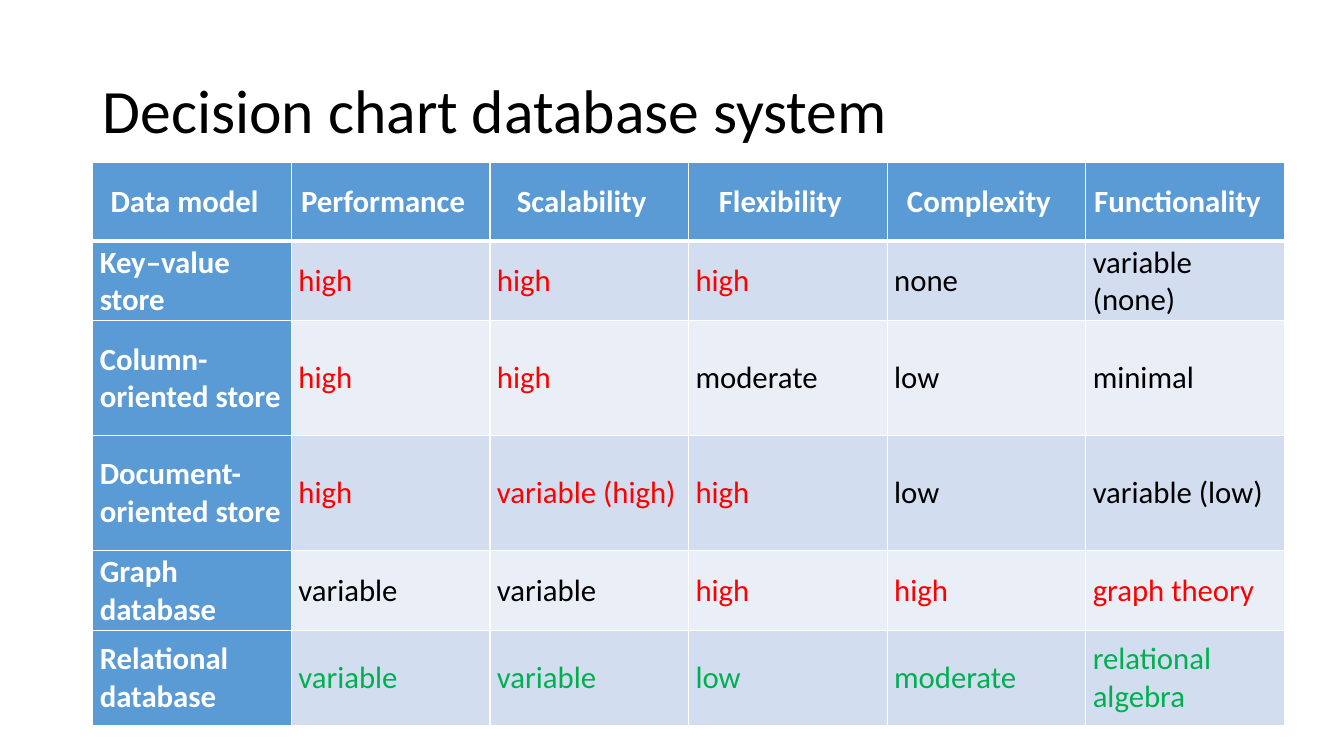
"""Build a slide with a decision chart that compares database systems."""
from lxml import etree
from pptx import Presentation
from pptx.dml.color import RGBColor
from pptx.enum.text import MSO_ANCHOR, PP_ALIGN
from pptx.oxml.ns import qn
from pptx.util import Inches, Pt

MIDDLE = MSO_ANCHOR.MIDDLE
LEFT, CENTER = PP_ALIGN.LEFT, PP_ALIGN.CENTER

FONT = "Calibri"
COLORS = {
    "black": "000000",
    "white": "FFFFFF",
    "red": "FF0000",
    "green": "00B050",
    "heading": "5B9BD5",
    "odd": "D2DEEF",
    "even": "EAEFF7",
}

TITLE = "Decision chart database system"
CRITERIA = ["Data model", "Performance", "Scalability", "Flexibility", "Complexity", "Functionality"]
RATINGS = [
    ("Key–value store", ["high", "high", "high", "none", "variable (none)"]),
    ("Column-oriented store", ["high", "high", "moderate", "low", "minimal"]),
    ("Document-oriented store", ["high", "variable (high)", "high", "low", "variable (low)"]),
    ("Graph database", ["variable", "variable", "high", "high", "graph theory"]),
    ("Relational database", ["variable", "variable", "low", "moderate", "relational algebra"]),
]
STRENGTHS = {"high", "variable (high)", "graph theory"}
BASELINE = "Relational database"

CHART_LEFT, CHART_TOP = 0.92, 1.61
COLUMN_WIDTH = 1.97
ROW_HEIGHTS = [0.78, 0.78, 1.14, 1.14, 0.78, 0.94]


def format_text(paragraph, size, color, bold=False):
    for run in paragraph.runs:
        run.font.name = FONT
        run.font.size = Pt(size)
        run.font.bold = bold
        run.font.color.rgb = RGBColor.from_string(COLORS[color])


def add_borders(cell, top, bottom):
    properties = cell._tc.get_or_add_tcPr()
    widths = {"a:lnL": 1, "a:lnR": 1, "a:lnT": top, "a:lnB": bottom}
    for position, (side, width) in enumerate(widths.items()):
        border = etree.Element(qn(side), w=str(Pt(width)))
        fill = etree.SubElement(border, qn("a:solidFill"))
        etree.SubElement(fill, qn("a:srgbClr"), val=COLORS["white"])
        properties.insert(position, border)


def rating_color(model, rating):
    if model == BASELINE:
        return "green"
    return "red" if rating in STRENGTHS else "black"


def fill_cell(cell, text, row, column):
    is_header = row == 0
    is_heading = is_header or column == 0
    band = "odd" if row % 2 else "even"
    cell.fill.solid()
    cell.fill.fore_color.rgb = RGBColor.from_string(COLORS["heading" if is_heading else band])
    add_borders(cell, top=3 if row == 1 else 1, bottom=3 if is_header else 1)
    cell.vertical_anchor = MIDDLE
    cell.margin_left = Inches(0.07)
    cell.margin_right = Inches(0.22 if is_header else 0.07)
    cell.margin_top = cell.margin_bottom = Inches(0.03)
    paragraph = cell.text_frame.paragraphs[0]
    paragraph.text = text
    paragraph.alignment = CENTER if is_header else LEFT
    paragraph.space_before = paragraph.space_after = Pt(12)
    color = "white" if is_heading else rating_color(RATINGS[row - 1][0], text)
    format_text(paragraph, 22, color, bold=is_heading)


presentation = Presentation()
presentation.slide_width, presentation.slide_height = Inches(13.33), Inches(7.5)
slide = presentation.slides.add_slide(presentation.slide_layouts[6])

title = slide.shapes.add_textbox(Inches(0.92), Inches(0.4), Inches(11.5), Inches(1.45)).text_frame
title.word_wrap = True
title.vertical_anchor = MIDDLE
title.text = TITLE
title.paragraphs[0].line_spacing = 0.9
format_text(title.paragraphs[0], 44, "black")

rows = [CRITERIA] + [[model, *ratings] for model, ratings in RATINGS]
decision_chart = slide.shapes.add_table(
    len(rows), len(CRITERIA), Inches(CHART_LEFT), Inches(CHART_TOP),
    Inches(COLUMN_WIDTH * len(CRITERIA)), Inches(sum(ROW_HEIGHTS)),
).table
decision_chart.first_col = True
for column in decision_chart.columns:
    column.width = Inches(COLUMN_WIDTH)
for row, (height, texts) in enumerate(zip(ROW_HEIGHTS, rows)):
    decision_chart.rows[row].height = Inches(height)
    for column, text in enumerate(texts):
        fill_cell(decision_chart.cell(row, column), text, row, column)

presentation.save("out.pptx")
